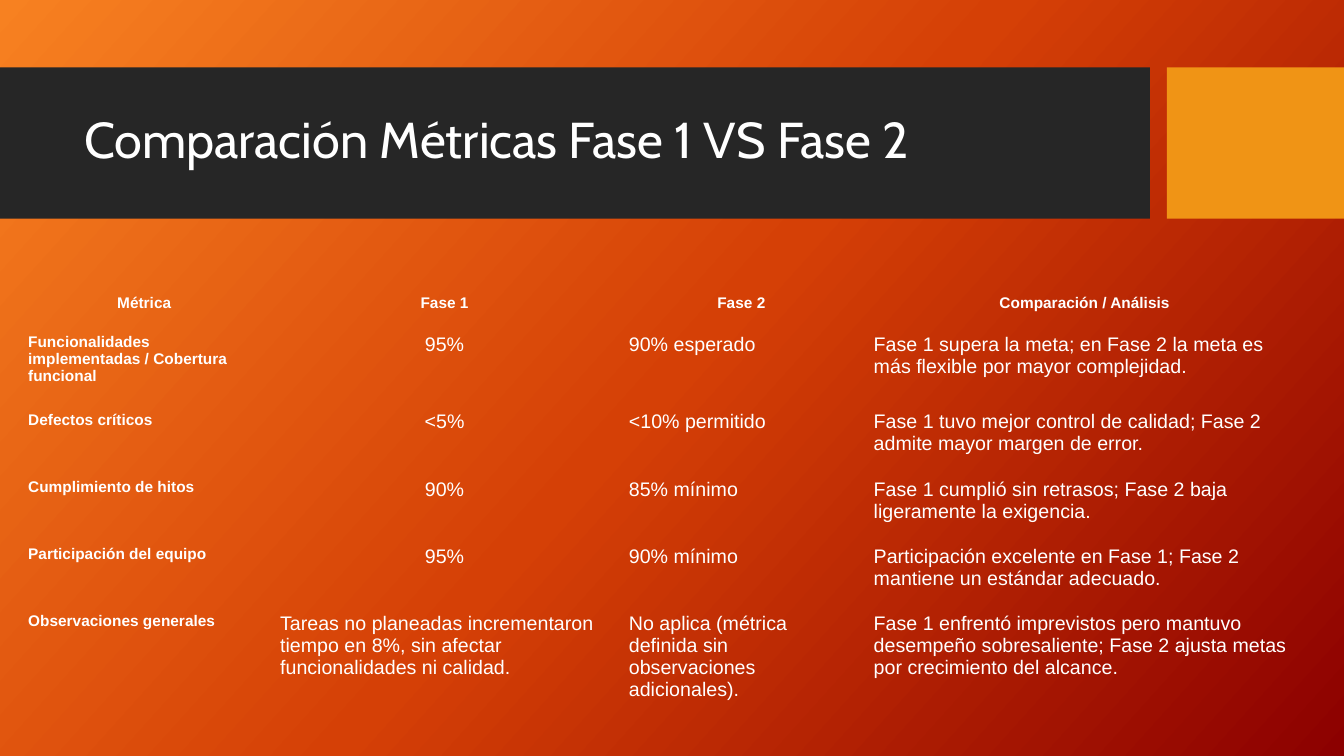
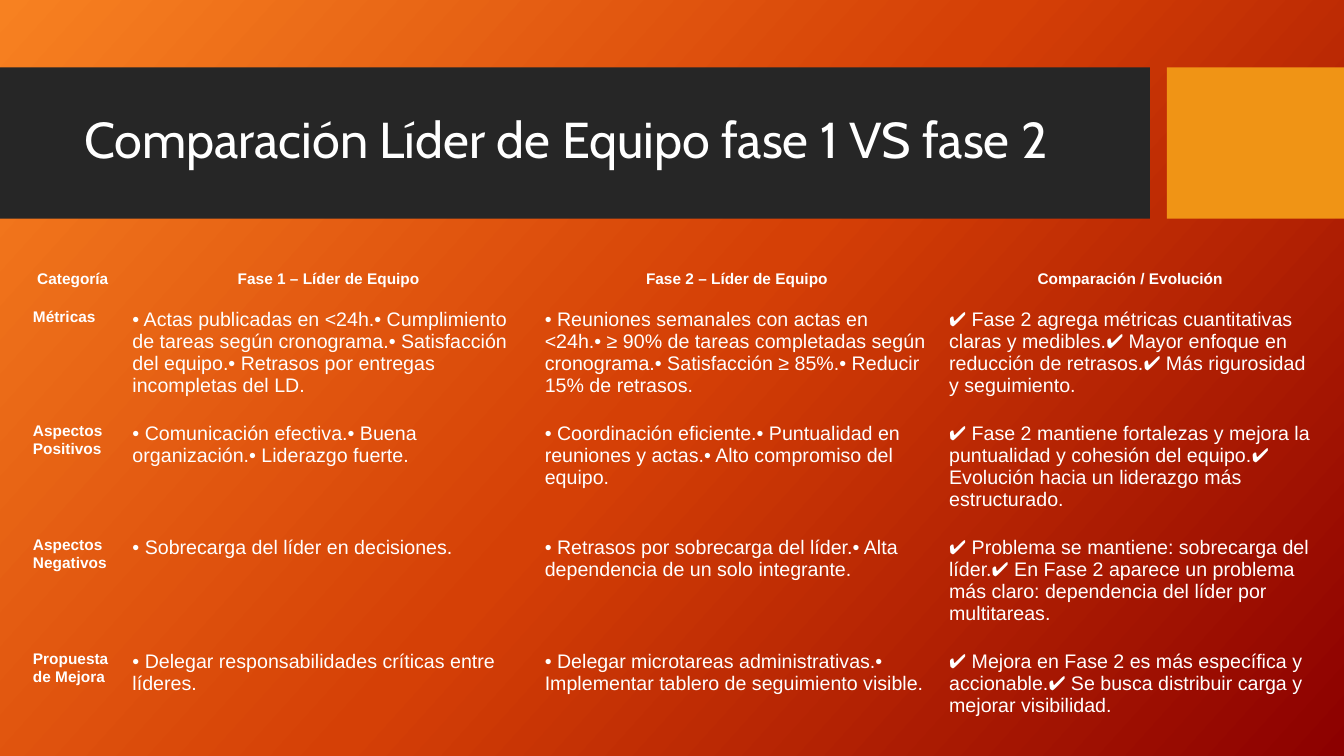
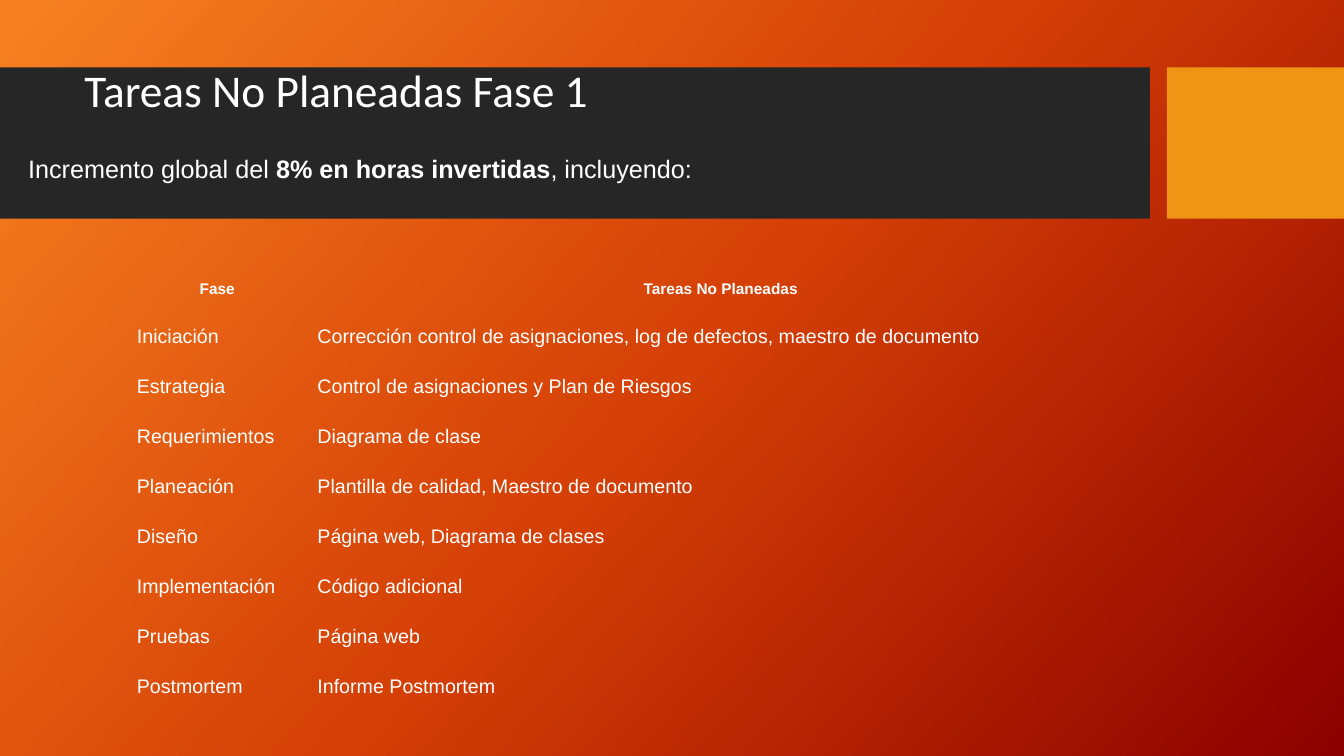
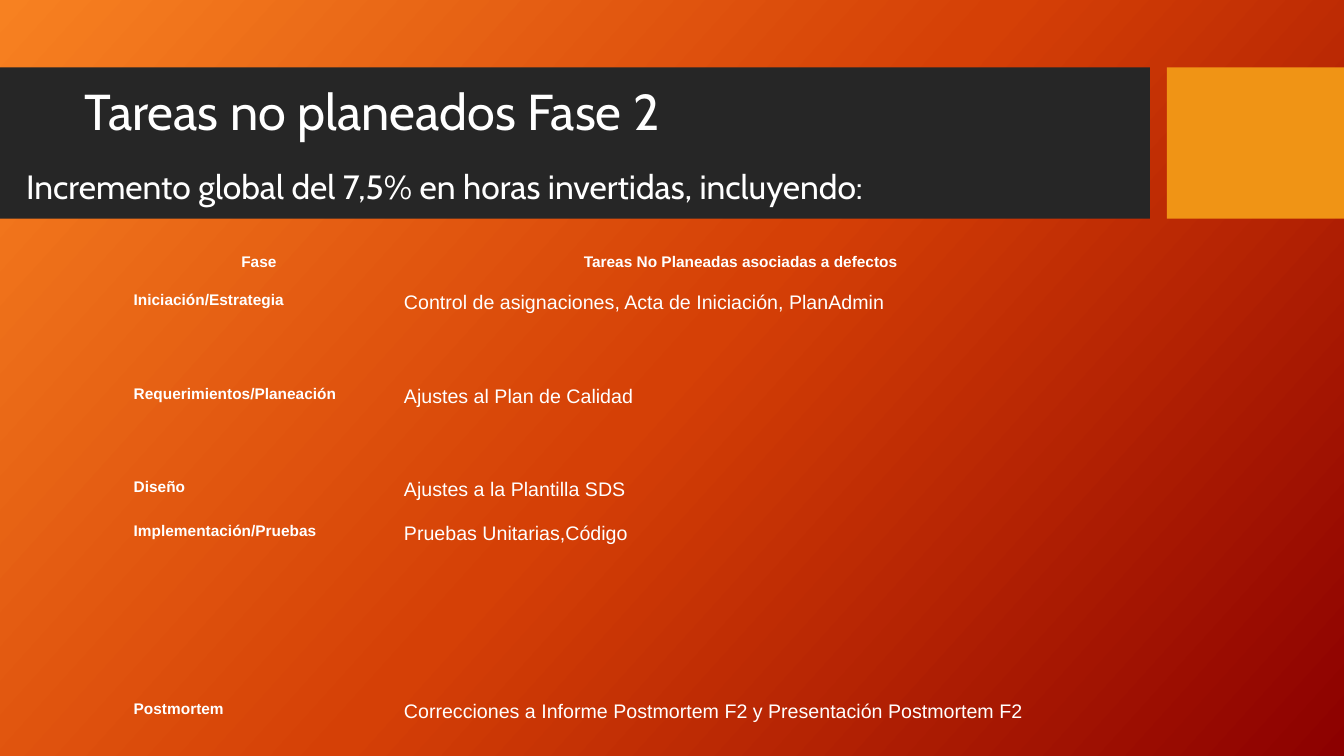
from lxml import etree
from pptx import Presentation
from pptx.dml.color import RGBColor
from pptx.enum.shapes import MSO_SHAPE
from pptx.enum.text import MSO_ANCHOR, PP_ALIGN
from pptx.oxml.ns import qn
from pptx.util import Cm, Pt

RECTANGLE = MSO_SHAPE.RECTANGLE
MIDDLE, TOP = MSO_ANCHOR.MIDDLE, MSO_ANCHOR.TOP
LEFT, CENTER = PP_ALIGN.LEFT, PP_ALIGN.CENTER

COLORS = {
    "band": "262626",
    "accent": "F09415",
    "text": "FFFFFF",
    "start": "F78121",
    "middle": "D54006",
    "end": "8C0000",
}
GRADIENT = (("start", 0), ("middle", 50000), ("end", 100000))
PLAIN_TABLE = "{2D5ABB26-0587-4C30-8999-92F81FD0307C}"

BODY = {"name": "Arial", "size": Pt(14), "bold": False}
LABEL = {"name": "Arial", "size": Pt(11), "bold": True}
TITLE = {"name": "Cabin", "size": Pt(36)}


class SlideBuilder:
    def __init__(self):
        self.deck = Presentation()
        self.deck.slide_width, self.deck.slide_height = Cm(33.87), Cm(19.05)
        self.page = None
        self.paint_background()

    def paint_background(self):
        """Give the slide master the gradient that every page inherits."""
        master = self.deck.slide_master
        fill = master.background.fill
        fill.gradient()
        fill.gradient_angle = 318
        stops = master.element.find(".//" + qn("a:gsLst"))
        for stop in list(stops):
            stops.remove(stop)
        for color, position in GRADIENT:
            stop = etree.SubElement(stops, qn("a:gs"), pos=str(position))
            etree.SubElement(stop, qn("a:srgbClr"), val=COLORS[color])

    def new_page(self):
        self.page = self.deck.slides.add_slide(self.deck.slide_layouts[6])
        self.band(0, 28.98, "band")
        self.band(29.41, 4.46, "accent")

    def band(self, left, width, color):
        shape = self.page.shapes.add_shape(RECTANGLE, Cm(left), Cm(1.7), Cm(width), Cm(3.81))
        shape.shadow.inherit = False
        shape.fill.solid()
        shape.fill.fore_color.rgb = RGBColor.from_string(COLORS[color])
        shape.line.fill.background()

    def fill_paragraph(self, para, spans, align=LEFT, spacing=1.0):
        """Fill a paragraph with (text, format) spans."""
        para.alignment, para.line_spacing = align, spacing
        for text, style in spans:
            span = para.add_run()
            span.text = text
            span.font.color.rgb = RGBColor.from_string(COLORS["text"])
            for name, value in style.items():
                setattr(span.font, name, value)

    def text(self, left, top, height, spans, anchor=TOP, spacing=1.0):
        box = self.page.shapes.add_textbox(Cm(left), Cm(top), Cm(26.7), Cm(height))
        frame = box.text_frame
        frame.word_wrap, frame.vertical_anchor = True, anchor
        self.fill_paragraph(frame.paragraphs[0], spans, spacing=spacing)

    def title(self, text, top=2.08, height=3.0, style=TITLE):
        self.text(1.88, top, height, [(text, style)], MIDDLE, 0.9)

    def table(self, left, top, widths, heights, rows, first_column=LABEL, centered=()):
        """Draw a table; centered lists the (row, column) cells to centre."""
        frame = self.page.shapes.add_table(
            len(rows), len(widths), Cm(left), Cm(top), Cm(sum(widths)), Cm(sum(heights)))
        table = frame.table
        table.first_row = table.horz_banding = False
        table._tbl.tblPr.find(qn("a:tableStyleId")).text = PLAIN_TABLE
        for column, width in zip(table.columns, widths):
            column.width = Cm(width)
        for row, height in zip(table.rows, heights):
            row.height = Cm(height)
        for r, texts in enumerate(rows):
            for c, text in enumerate(texts):
                cell = table.cell(r, c)
                cell.fill.background()
                for side in ("left", "right", "top", "bottom"):
                    setattr(cell, "margin_" + side, Cm(0.25))
                style = LABEL if r == 0 else first_column if c == 0 else BODY
                align = CENTER if r == 0 or (r, c) in centered else LEFT
                self.fill_paragraph(cell.text_frame.paragraphs[0], [(text, style)], align,
                                    1.15 if r == 0 else 1.0)


METRICS = [
    ("Métrica", "Fase 1", "Fase 2", "Comparación / Análisis"),
    ("Funcionalidades implementadas / Cobertura funcional", "95%", "90% esperado",
     "Fase 1 supera la meta; en Fase 2 la meta es más flexible por mayor complejidad."),
    ("Defectos críticos", "<5%", "<10% permitido",
     "Fase 1 tuvo mejor control de calidad; Fase 2 admite mayor margen de error."),
    ("Cumplimiento de hitos", "90%", "85% mínimo",
     "Fase 1 cumplió sin retrasos; Fase 2 baja ligeramente la exigencia."),
    ("Participación del equipo", "95%", "90% mínimo",
     "Participación excelente en Fase 1; Fase 2 mantiene un estándar adecuado."),
    ("Observaciones generales",
     "Tareas no planeadas incrementaron tiempo en 8%, sin afectar funcionalidades ni calidad.",
     "No aplica (métrica definida sin observaciones adicionales).",
     "Fase 1 enfrentó imprevistos pero mantuvo desempeño sobresaliente; "
     "Fase 2 ajusta metas por crecimiento del alcance."),
]

LEADER = [
    ("Categoría", "Fase 1 – Líder de Equipo", "Fase 2 – Líder de Equipo",
     "Comparación / Evolución"),
    ("Métricas",
     "• Actas publicadas en <24h.• Cumplimiento de tareas según cronograma."
     "• Satisfacción del equipo.• Retrasos por entregas incompletas del LD.",
     "• Reuniones semanales con actas en <24h.• ≥ 90% de tareas completadas según "
     "cronograma.• Satisfacción ≥ 85%.• Reducir 15% de retrasos.",
     "✔ Fase 2 agrega métricas cuantitativas claras y medibles."
     "✔ Mayor enfoque en reducción de retrasos.✔ Más rigurosidad y seguimiento."),
    ("Aspectos Positivos",
     "• Comunicación efectiva.• Buena organización.• Liderazgo fuerte.",
     "• Coordinación eficiente.• Puntualidad en reuniones y actas."
     "• Alto compromiso del equipo.",
     "✔ Fase 2 mantiene fortalezas y mejora la puntualidad y cohesión del equipo."
     "✔ Evolución hacia un liderazgo más estructurado."),
    ("Aspectos Negativos",
     "• Sobrecarga del líder en decisiones.",
     "• Retrasos por sobrecarga del líder.• Alta dependencia de un solo integrante.",
     "✔ Problema se mantiene: sobrecarga del líder.✔ En Fase 2 aparece un problema "
     "más claro: dependencia del líder por multitareas."),
    ("Propuesta de Mejora",
     "• Delegar responsabilidades críticas entre líderes.",
     "• Delegar microtareas administrativas.• Implementar tablero de seguimiento visible.",
     "✔ Mejora en Fase 2 es más específica y accionable."
     "✔ Se busca distribuir carga y mejorar visibilidad."),
]

TASKS_ONE = [
    ("Fase", "Tareas No Planeadas"),
    ("Iniciación", "Corrección control de asignaciones, log de defectos, maestro de documento"),
    ("Estrategia", "Control de asignaciones y Plan de Riesgos"),
    ("Requerimientos", "Diagrama de clase"),
    ("Planeación", "Plantilla de calidad, Maestro de documento"),
    ("Diseño", "Página web, Diagrama de clases"),
    ("Implementación", "Código adicional"),
    ("Pruebas", "Página web"),
    ("Postmortem", "Informe Postmortem"),
]

TASKS_TWO = [
    ("Fase", "Tareas No Planeadas asociadas a defectos"),
    ("Iniciación/Estrategia", "Control de asignaciones, Acta de Iniciación, PlanAdmin"),
    ("", ""),
    ("Requerimientos/Planeación", "Ajustes al Plan de Calidad"),
    ("", ""),
    ("Diseño", "Ajustes a la Plantilla SDS"),
    ("Implementación/Pruebas", "Pruebas Unitarias,Código"),
    ("", ""),
    ("Postmortem", "Correcciones a Informe Postmortem F2 y Presentación Postmortem F2"),
]


def main():
    builder = SlideBuilder()

    builder.new_page()
    builder.title("Comparación Métricas Fase 1 VS Fase 2")
    builder.table(0.46, 7.11, [6.35, 8.79, 6.17, 11.13], [1.04, 1.96] + [1.69] * 3 + [2.87],
                  METRICS, centered=[(row, 1) for row in range(1, 5)])

    builder.new_page()
    builder.title("Comparación Líder de Equipo fase 1 VS fase 2")
    builder.table(0.58, 6.5, [2.51, 10.39, 10.19, 9.63], [0.99] + [2.72] * 3 + [2.16], LEADER)

    builder.new_page()
    builder.title("Tareas No Planeadas Fase 1", 1.57, 1.52,
                  {"name": "Calibri", "size": Pt(32.4)})
    lead = {"name": "Arial", "size": Pt(18)}
    builder.text(0.46, 3.73, 1.37, [
        ("Incremento global del ", lead),
        ("8% en horas invertidas", {**lead, "bold": True}),
        (", incluyendo:", lead),
    ])
    builder.table(3.2, 6.76, [4.55, 20.83], [1.19] + [1.26] * 8, TASKS_ONE, first_column=BODY)

    builder.new_page()
    builder.title("Tareas no planeados Fase 2", height=1.6)
    builder.text(0.41, 4.17, 1.3, [
        ("Incremento global del 7,5% en horas invertidas, incluyendo:",
         {"name": "Cabin", "size": Pt(24)}),
    ], spacing=0.9)
    builder.table(3.12, 6.07, [6.81, 17.48],
                  [0.98, 1.06, 1.22, 1.06, 1.22, 1.06, 3.23, 1.22, 1.06], TASKS_TWO)

    builder.deck.save("out.pptx")


if __name__ == "__main__":
    main()
